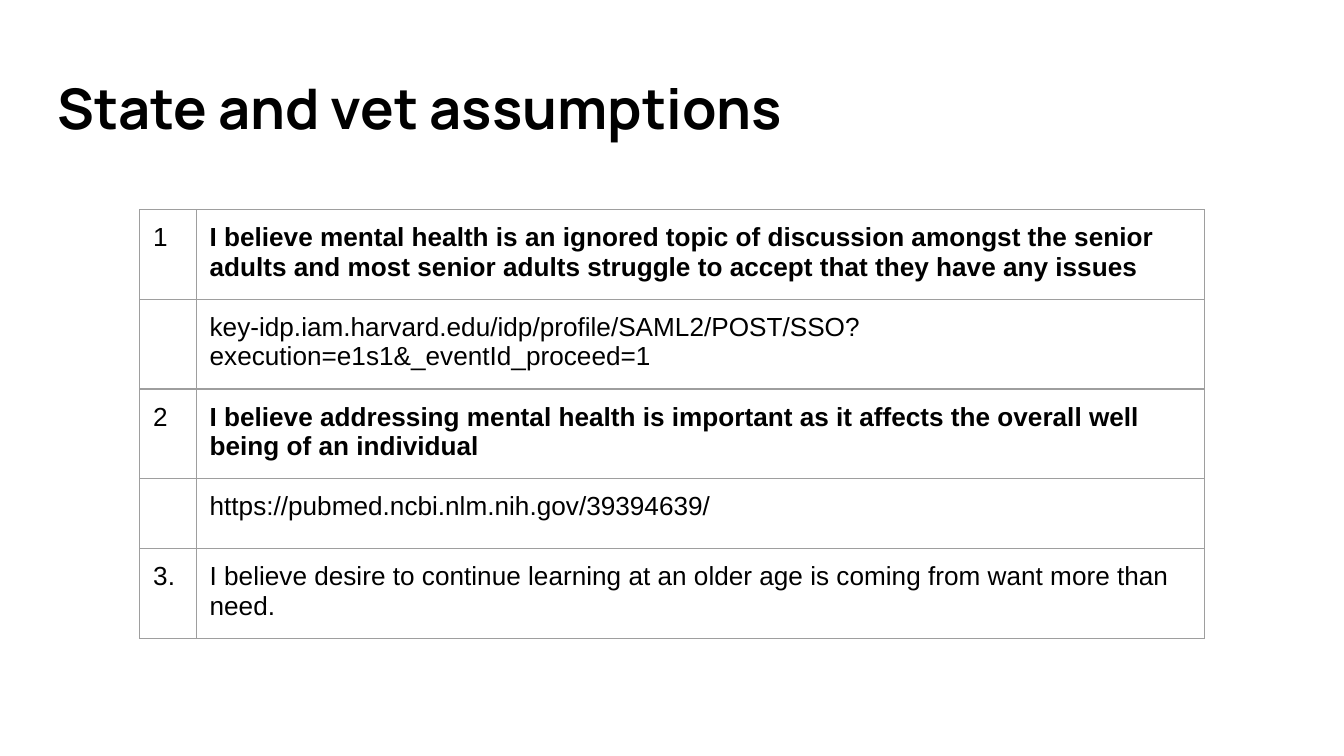
import pptx
import pptx.dml.color
import pptx.enum.text
import pptx.oxml
import pptx.oxml.ns
import pptx.util

HUES = {"ink": "000000", "rule": "9E9E9E"}
HEAD = {"name": "Manrope", "size": pptx.util.Pt(30), "bold": True}
BODY = {"name": "Arial", "size": pptx.util.Pt(14), "bold": False}
BOLD = {**BODY, "bold": True}
ROWS = [
    ("1", "I believe mental health is an ignored topic of discussion amongst the senior "
     "adults and most senior adults struggle to accept that they have any issues", BOLD),
    ("", "key-idp.iam.harvard.edu/idp/profile/SAML2/POST/SSO?"
     "execution=e1s1&_eventId_proceed=1", BODY),
    ("2", "I believe addressing mental health is important as it affects the overall "
     "well being of an individual", BOLD),
    ("", "https://pubmed.ncbi.nlm.nih.gov/39394639/", BODY),
    ("3.", "I believe desire to continue learning at an older age is coming from want "
     "more than need.", BODY),
]


class Deck:
    """Hold the style and the current slide, measured on a grid of tenths of an inch."""

    def __init__(self, cols, rows):
        self.show = pptx.Presentation()
        self.show.slide_width = self.unit(cols)
        self.show.slide_height = self.unit(rows)
        self.slide = self.show.slides.add_slide(self.show.slide_layouts[6])

    def unit(self, count):
        return pptx.util.Inches(count / 10)

    def label(self, frame, text, form):
        para = frame.paragraphs[0]
        para.text = text
        for font in [para.font] + [run.font for run in para.runs]:
            for key, value in form.items():
                setattr(font, key, value)
            font.color.rgb = pptx.dml.color.RGBColor.from_string(HUES["ink"])

    def pad(self, thing):
        for side in ("left", "top", "right", "bottom"):
            setattr(thing, "margin_" + side, self.unit(1))

    def title(self, text, *place):
        frame = self.slide.shapes.add_textbox(*map(self.unit, place)).text_frame
        frame.word_wrap = True
        frame.vertical_anchor = pptx.enum.text.MSO_ANCHOR.MIDDLE
        self.pad(frame)
        self.label(frame, text, HEAD)

    def edge(self, cell):
        props = cell._tc.get_or_add_tcPr()
        for side in "LRTB":
            props.append(pptx.oxml.parse_xml(
                f'<a:ln{side} {pptx.oxml.ns.nsdecls("a")} w="{pptx.util.Pt(0.75)}">'
                f'<a:solidFill><a:srgbClr val="{HUES["rule"]}"/></a:solidFill>'
                f'</a:ln{side}>'))

    def cell(self, cell, text, form):
        self.pad(cell)
        self.edge(cell)
        cell.fill.background()
        self.label(cell.text_frame, text, form)

    def table(self, data, left, top, widths, height):
        size = (left, top, sum(widths), height * len(data))
        table = self.slide.shapes.add_table(
            len(data), len(widths), *map(self.unit, size)).table
        table.first_row = table.horz_banding = False
        for col, width in zip(table.columns, widths):
            col.width = self.unit(width)
        for row, (mark, text, form) in zip(table.rows, data):
            row.height = self.unit(height)
            self.cell(row.cells[0], mark, BODY)
            self.cell(row.cells[1], text, form)


def main():
    deck = Deck(100, 56.25)
    deck.title("State and vet assumptions", 3.3, 4.5, 93.2, 7)
    deck.table(ROWS, 10.4, 15.6, (4.2, 75), 5.2)
    deck.show.save("out.pptx")


if __name__ == "__main__":
    main()
